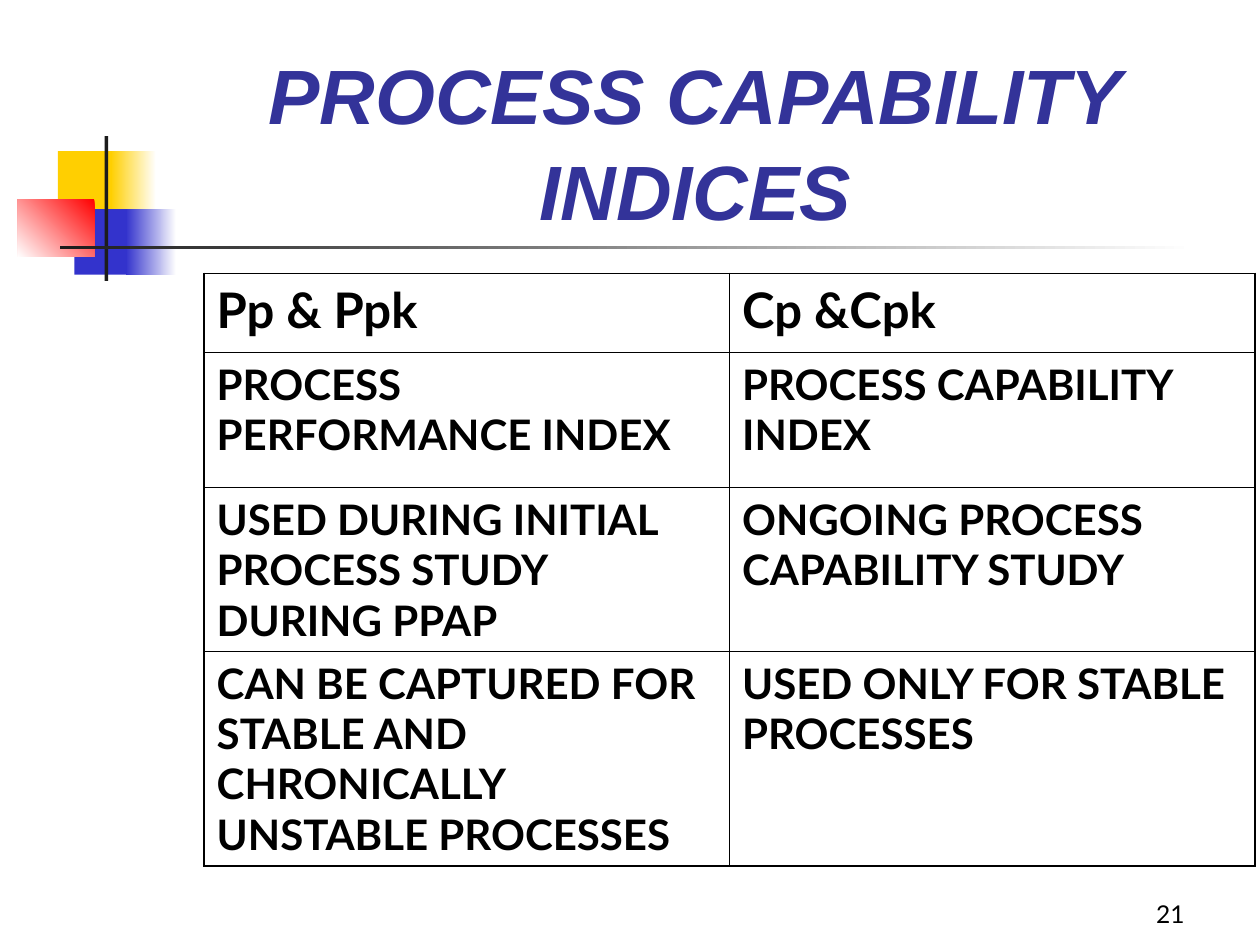
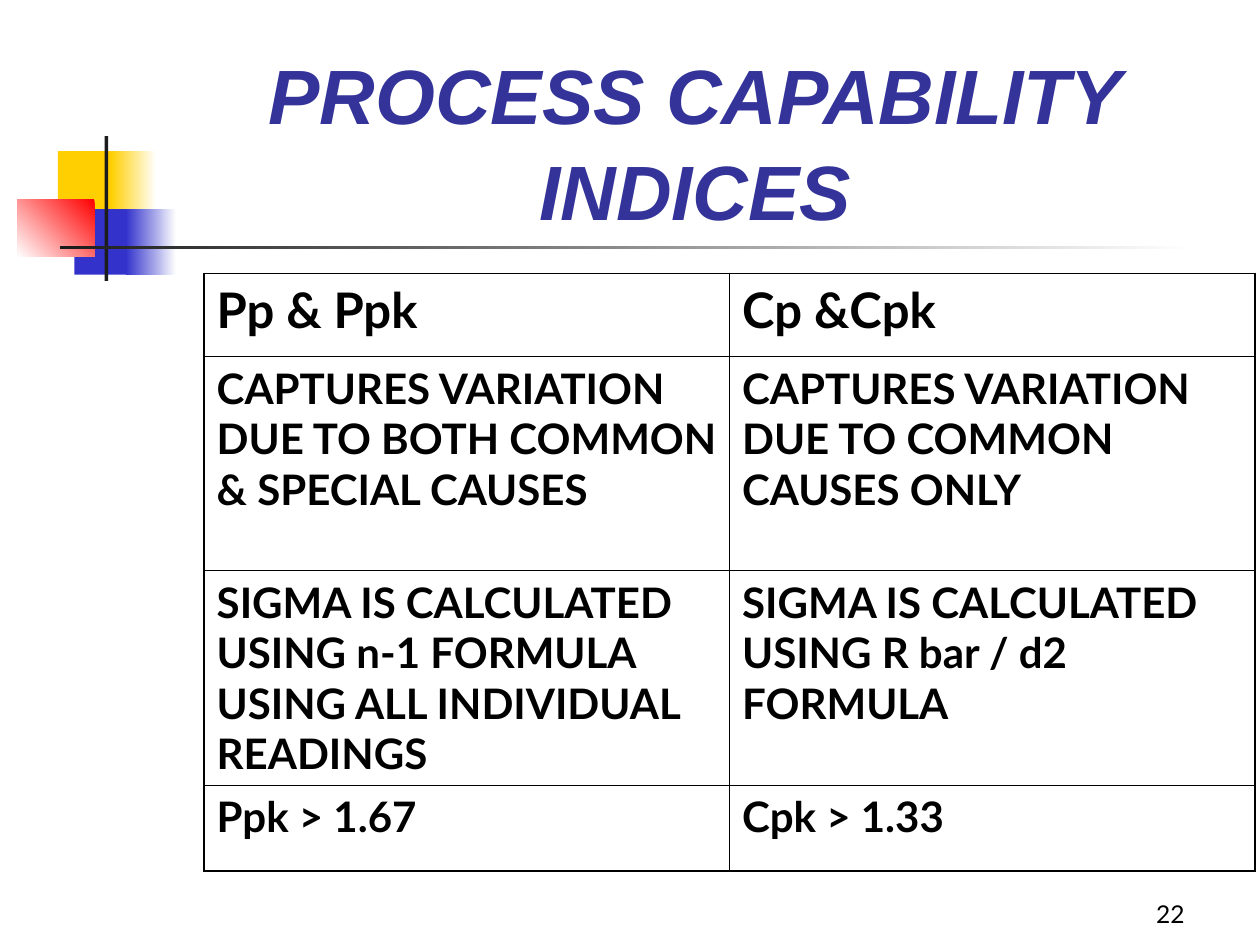
"""Build two slides that compare process performance and capability indices."""
import dataclasses

import lxml.etree
import pptx
import pptx.dml.color
import pptx.enum.shapes
import pptx.enum.text
import pptx.oxml.ns
import pptx.util

Inches = pptx.util.Inches
Pt = pptx.util.Pt


@dataclasses.dataclass(frozen=True)
class Theme:
    """Colours, fonts, type sizes and line widths of the deck."""
    title_color: str = "333399"
    ink: str = "000000"
    white: str = "FFFFFF"
    yellow: str = "FFCF01"
    blue: str = "3333CC"
    red: str = "FF0000"
    rule: str = "1C1C1C"
    title_font: str = "Arial"
    body_font: str = "Lato"
    title_size: int = 44
    header_size: int = 28
    cell_size: int = 24
    number_size: int = 14
    outer_line: float = 1.08
    inner_line: float = 0.45


THEME = Theme()
TITLE = "PROCESS CAPABILITY INDICES"
HEADERS = ("Pp & Ppk", "Cp &Cpk")
COLUMN_WIDTH = 4.17

ORNAMENT = (
    ((0.46, 1.2, 0.48, 0.52), (THEME.yellow,), 0),
    ((0.88, 1.2, 0.36, 0.52), (THEME.white, THEME.yellow), 180),
    ((0.59, 1.66, 0.46, 0.52), (THEME.blue,), 0),
    ((1, 1.66, 0.4, 0.52), (THEME.white, THEME.blue), 180),
    ((0.14, 1.58, 0.61, 0.46), (THEME.red, THEME.white), 225),
    ((0.83, 1.08, 0.03, 1.15), (THEME.rule,), 0),
    ((0.48, 1.95, 9, 0.03), (THEME.white, THEME.rule), 180),
)

PAGES = (
    (21, (0.63, 1.07, 1.3, 1.7), (
        ("PROCESS PERFORMANCE INDEX", "PROCESS CAPABILITY INDEX"),
        ("USED DURING INITIAL PROCESS STUDY DURING PPAP",
         "ONGOING PROCESS CAPABILITY STUDY"),
        ("CAN BE CAPTURED FOR STABLE AND CHRONICALLY UNSTABLE PROCESSES",
         "USED ONLY FOR STABLE PROCESSES"),
    )),
    (22, (0.66, 1.7, 1.7, 0.68), (
        ("CAPTURES VARIATION DUE TO BOTH COMMON & SPECIAL CAUSES",
         "CAPTURES VARIATION DUE TO COMMON CAUSES ONLY"),
        ("SIGMA IS CALCULATED USING n-1 FORMULA USING ALL INDIVIDUAL READINGS",
         "SIGMA IS CALCULATED USING R bar / d2 FORMULA"),
        ("Ppk > 1.67", "Cpk > 1.33"),
    )),
)


def rgb(color):
    """Return a colour object for a hex string."""
    return pptx.dml.color.RGBColor.from_string(color)


def style_font(font, name, size, color, bold=False, italic=False):
    """Set the face, size, colour and weight of a font."""
    font.name = name
    font.size = Pt(size)
    font.color.rgb = rgb(color)
    font.bold = bold
    font.italic = italic


def add_block(page, place, colors, angle):
    """Add an unlined rectangle with a solid or two-colour gradient fill."""
    block = page.shapes.add_shape(
        pptx.enum.shapes.MSO_SHAPE.RECTANGLE, *map(Inches, place))
    block.shadow.inherit = False
    block.line.fill.background()
    if len(colors) == 1:
        block.fill.solid()
        block.fill.fore_color.rgb = rgb(colors[0])
        return
    block.fill.gradient()
    block.fill.gradient_angle = angle
    for stop, color in zip(block.fill.gradient_stops, colors):
        stop.color.rgb = rgb(color)


def set_title(page, text):
    """Place and format the title placeholder."""
    title = page.shapes.title
    title.left, title.top, title.width, title.height = map(
        Inches, (1.26, 0.67, 8.52, 1.25))
    frame = title.text_frame
    frame.text = text
    frame.word_wrap = True
    frame.auto_size = pptx.enum.text.MSO_AUTO_SIZE.NONE
    frame.vertical_anchor = pptx.enum.text.MSO_ANCHOR.BOTTOM
    para = frame.paragraphs[0]
    para.alignment = pptx.enum.text.PP_ALIGN.CENTER
    para.line_spacing = 1.04
    style_font(para.font, THEME.title_font, THEME.title_size,
               THEME.title_color, bold=True, italic=True)


def set_borders(cell, widths):
    """Draw the left, right, top and bottom borders of a cell."""
    properties = cell._tc.get_or_add_tcPr()
    qn = pptx.oxml.ns.qn
    for index, (side, width) in enumerate(zip("LRTB", widths)):
        line = lxml.etree.Element(qn(f"a:ln{side}"), w=str(Pt(width)))
        fill = lxml.etree.SubElement(line, qn("a:solidFill"))
        lxml.etree.SubElement(fill, qn("a:srgbClr"), val=THEME.ink)
        properties.insert(index, line)


def fill_cell(cell, text, is_header):
    """Write and format the text of one table cell."""
    cell.fill.background()
    cell.text = text
    para = cell.text_frame.paragraphs[0]
    para.space_before = Pt(7 if is_header else 6)
    size = THEME.header_size if is_header else THEME.cell_size
    style_font(para.font, THEME.body_font, size, THEME.ink, bold=True)


def add_comparison(page, heights, rows):
    """Add the two-column table with a heavier outer border."""
    rows = (HEADERS, *rows)
    columns = len(HEADERS)
    table = page.shapes.add_table(
        len(rows), columns, Inches(1.62), Inches(2.17),
        Inches(columns * COLUMN_WIDTH), Inches(sum(heights))).table
    table.first_row = False
    table.horz_banding = False
    for row, height in zip(table.rows, heights):
        row.height = Inches(height)
    for r, texts in enumerate(rows):
        for c, text in enumerate(texts):
            cell = table.cell(r, c)
            fill_cell(cell, text, is_header=r == 0)
            edges = (c == 0, c == columns - 1, r == 0, r == len(rows) - 1)
            set_borders(cell, [THEME.outer_line if edge else THEME.inner_line
                               for edge in edges])


def add_page_number(page, number):
    """Add the page number at the lower right."""
    box = page.shapes.add_textbox(*map(Inches, (7.42, 6.92, 2.08, 0.5)))
    frame = box.text_frame
    frame.word_wrap = True
    frame.vertical_anchor = pptx.enum.text.MSO_ANCHOR.BOTTOM
    frame.text = str(number)
    para = frame.paragraphs[0]
    para.alignment = pptx.enum.text.PP_ALIGN.RIGHT
    style_font(para.font, THEME.body_font, THEME.number_size, THEME.ink)


def main():
    """Build and save the deck."""
    deck = pptx.Presentation()
    deck.slide_width, deck.slide_height = Inches(10), Inches(7.5)
    title_only = deck.slide_layouts.get_by_name("Title Only")
    for number, heights, rows in PAGES:
        page = deck.slides.add_slide(title_only)
        for place, colors, angle in ORNAMENT:
            add_block(page, place, colors, angle)
        set_title(page, TITLE)
        add_comparison(page, heights, rows)
        add_page_number(page, number)
    deck.save("out.pptx")


if __name__ == "__main__":
    main()
